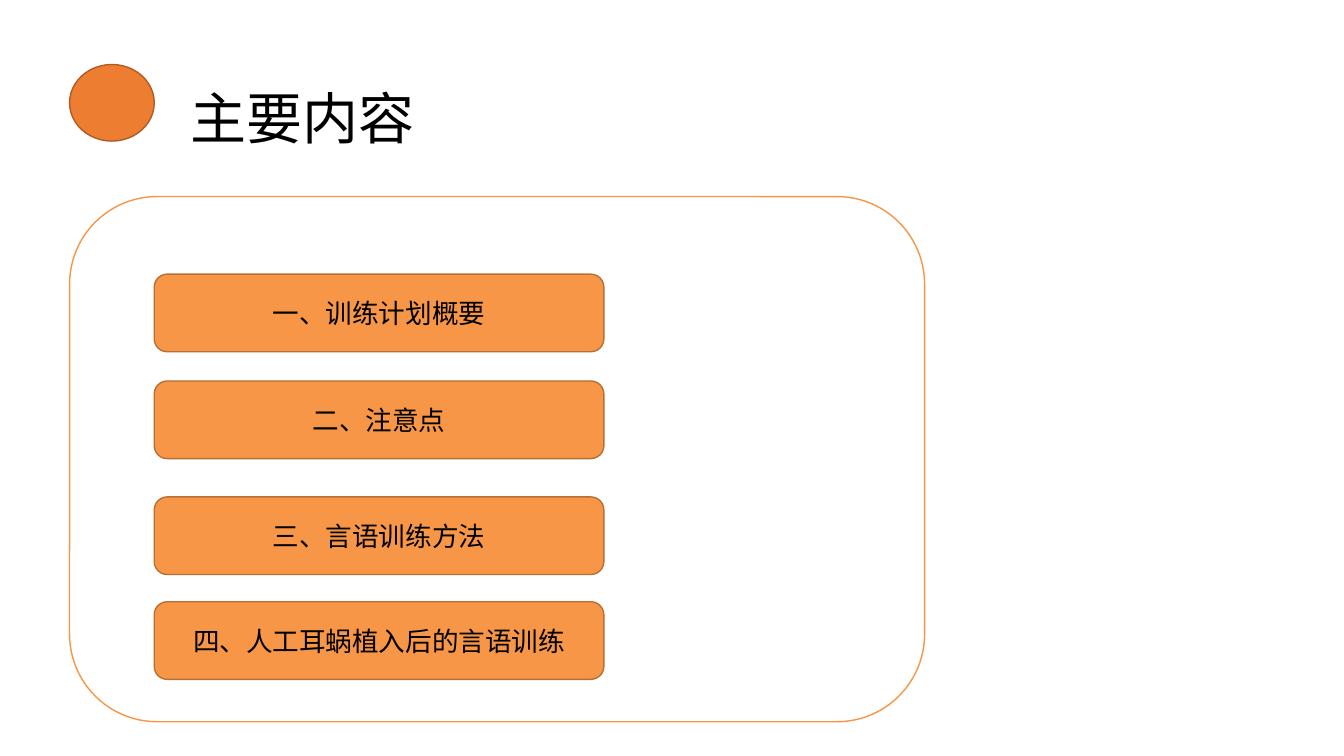
from lxml.etree import SubElement
from pptx import Presentation
from pptx.dml.color import RGBColor
from pptx.enum.shapes import MSO_SHAPE as Preset
from pptx.enum.text import MSO_ANCHOR as Anchor, MSO_AUTO_SIZE as AutoSize, PP_ALIGN as Align
from pptx.oxml.ns import qn
from pptx.util import Inches, Pt

WHITE = RGBColor(0xFF, 0xFF, 0xFF)
BLACK = RGBColor(0x00, 0x00, 0x00)
ORANGE = RGBColor(0xED, 0x7D, 0x31)
ORANGE_EDGE = RGBColor(0xAF, 0x5C, 0x24)
AMBER = RGBColor(0xF7, 0x96, 0x46)
AMBER_EDGE = RGBColor(0xB7, 0x6F, 0x34)
FONT = "Noto Sans CJK SC"

CELL = Inches(0.1)  # one column or row of the layout grid
COLUMNS, ROWS = 133.3, 75
HEADER_BOX = (6.9, 6.4, 43.4, 9.1)
PANEL_BOX = (6.9, 19.5, 84.8, 52.1)
# Top row of each topic inside the panel
TOPICS = {
    7.7: "一、训练计划概要",
    18.3: "二、注意点",
    29.8: "三、言语训练方法",
    40.2: "四、人工耳蜗植入后的言语训练",
}


def set_attributes(target, values):
    """Set each named attribute of the target."""
    for name, value in values.items():
        setattr(target, name, value)


def grid(*cells):
    """Turn grid cells into lengths."""
    return [round(cell * CELL) for cell in cells]


def add_shape(slide, preset, box, fill, edge):
    """Add a flat preset shape with a thin outline."""
    shape = slide.shapes.add_shape(preset, *grid(*box))
    shape.shadow.inherit = False
    shape.fill.solid()
    shape.fill.fore_color.rgb = fill
    shape.line.color.rgb = edge
    shape.line.width = Pt(1)
    return shape


def write_text(shape, text, size, align, frame_format):
    """Write one formatted paragraph into the shape."""
    frame = shape.text_frame
    set_attributes(frame, frame_format)
    paragraph = frame.paragraphs[0]
    set_attributes(paragraph, {"alignment": align, "line_spacing": 1.0})
    run = paragraph.add_run()
    run.text = text
    set_attributes(run.font, {"size": Pt(size), "name": FONT})
    run.font.color.rgb = BLACK
    SubElement(run.font._element, qn("a:ea"), typeface=FONT)


def add_header(slide, box):
    """Place the round marker and the title beside it."""
    left, top, width, height = box
    add_shape(slide, Preset.OVAL, (left, top, 8.4, 7.6), ORANGE, ORANGE_EDGE)
    title = slide.shapes.title
    title_box = grid(left + 11, top + 1.4, width - 11, height - 1.4)
    set_attributes(title, dict(zip(("left", "top", "width", "height"), title_box)))
    write_text(title, "主要内容", 40, Align.LEFT, {
        "vertical_anchor": Anchor.TOP,
        "word_wrap": True,
        "auto_size": AutoSize.SHAPE_TO_FIT_TEXT,
    })


def add_topic_panel(slide, box):
    """Draw the rounded panel and its topic bars."""
    left, top, _, _ = box
    add_shape(slide, Preset.ROUNDED_RECTANGLE, box, WHITE, AMBER)
    for row, topic in TOPICS.items():
        bar = add_shape(slide, Preset.ROUNDED_RECTANGLE,
                        (left + 8.4, top + row, 44.6, 7.7), AMBER, AMBER_EDGE)
        write_text(bar, topic, 19, Align.CENTER,
                   {"vertical_anchor": Anchor.MIDDLE, "word_wrap": True})


def build_contents_slide(presentation):
    """Build the contents slide from its header and panel."""
    slide = presentation.slides.add_slide(presentation.slide_layouts[5])
    add_header(slide, HEADER_BOX)
    add_topic_panel(slide, PANEL_BOX)


presentation = Presentation()
presentation.slide_width, presentation.slide_height = grid(COLUMNS, ROWS)
build_contents_slide(presentation)
presentation.save("out.pptx")
